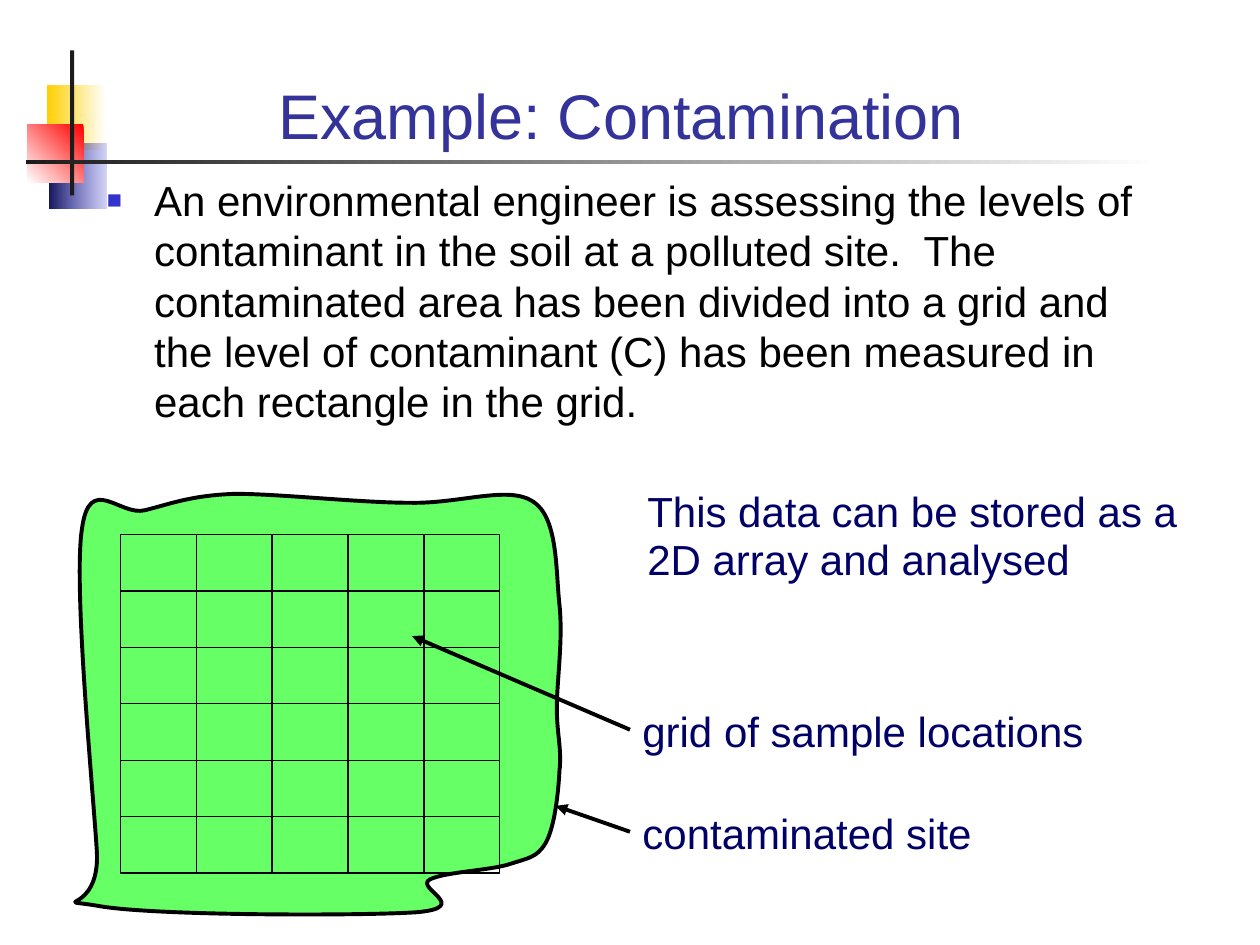
from typing import NamedTuple

from lxml import etree
from pptx import Presentation
from pptx.dml import color
from pptx.enum import shapes, text
from pptx.oxml import ns
from pptx import util as u

Pt = u.Pt


class Block(NamedTuple):
    x: float
    y: float
    w: float
    h: float
    colors: tuple
    angle: float = 180


class Caption(NamedTuple):
    words: str
    x: float
    y: float
    w: float
    h: float
    size: float = 24
    color: str = "000066"


class Callout(NamedTuple):
    caption: Caption
    tip: tuple


SQUARES = [
    Block(26.8, 48.4, 33.6, 37.6, ("FFFFFF", "FFCF01")),
    Block(28.1, 81.8, 32.8, 37.6, ("3333CC", "17175E")),
    Block(15.7, 71, 32, 33.4, ("FF0000", "FFFFFF"), 225),
]
BARS = [
    Block(40.1, 28.8, 2.3, 82.8, ("1C1C1C",)),
    Block(14.9, 91.4, 647.3, 2.2, ("FFFFFF", "1C1C1C")),
]
TITLE = Caption("Example: Contamination ", 54, 32.4, 612, 58, 36, "333399")
BODY = Caption(
    "An environmental engineer is assessing the levels of contaminant in the "
    "soil at a polluted site.  The contaminated area has been divided into a "
    "grid and the level of contaminant (C) has been measured in each "
    "rectangle in the grid.", 54, 96, 612, 173.5, color="000000")
STORAGE = Caption("This data can be stored as a 2D array and analysed",
                  335.75, 270, 362, 85)
CALLOUTS = [
    Callout(Caption("contaminated site", 360, 457.9, 248, 34.8), (317.5, 460.5)),
    Callout(Caption("grid of sample locations", 360, 399.6, 310, 34.8), (235.5, 363.5)),
]
SITE_START = (82.8, 291.6)
SITE_CURVES = [
    ((97.2, 288), (109.4, 283), (134.6, 282.2)),
    ((159.8, 282.2), (205.9, 287.3), (234, 287.3)),
    ((262.8, 288), (290.2, 277.2), (304.6, 286.6)),
    ((319, 295.9), (317.5, 326.2), (319.7, 345.6)),
    ((321.8, 365.8), (318.2, 388.8), (318.2, 404.6)),
    ((318.2, 419.8), (321.1, 427.7), (319.7, 440.6)),
    ((319, 453.6), (316.8, 473), (311.8, 481.7)),
    ((306.7, 490.3), (301.7, 490.3), (290.9, 493.9)),
    ((279.4, 497.5), (254.2, 498.2), (245.5, 502.6)),
    ((236.9, 507.6), (270, 518.4), (238.3, 521.3)),
    ((207.4, 523.4), (87.1, 523.4), (56.2, 517.7)),
    ((25.9, 512.6), (56.9, 523.4), (55.4, 487.4)),
    ((53.3, 452.2), (41.8, 335.5), (46.8, 302.4)),
    ((51.1, 270), (68.4, 295.2), SITE_START),
]
GRID_X, GRID_Y, CELL_W, CELL_H = 68.85, 305.45, 43.35, 32.25
GRID_ROWS, GRID_COLS = 6, 5


def rgb(value: str) -> color.RGBColor:
    return color.RGBColor.from_string(value)


def sub(parent, tag: str, **attrs: str):
    return etree.SubElement(parent, ns.qn(tag), attrs)


def add_rect(parent, x: float, y: float, w: float, h: float):
    sp = parent.shapes.add_shape(shapes.MSO_SHAPE.RECTANGLE, Pt(x), Pt(y), Pt(w), Pt(h))
    sp.shadow.inherit = False
    return sp


def add_block(parent, block: Block):
    sp = add_rect(parent, block.x, block.y, block.w, block.h)
    sp.line.fill.background()
    if len(block.colors) == 1:
        sp.fill.solid()
        sp.fill.fore_color.rgb = rgb(block.colors[0])
        return sp
    sp.fill.gradient()
    sp.fill.gradient_angle = block.angle
    for stop, value in zip(sp.fill.gradient_stops, block.colors):
        stop.color.rgb = rgb(value)
    return sp


def add_caption(slide, cap: Caption):
    sp = slide.shapes.add_textbox(Pt(cap.x), Pt(cap.y), Pt(cap.w), Pt(cap.h))
    tf = sp.text_frame
    tf.word_wrap = True
    tf.text = cap.words
    font = tf.paragraphs[0].runs[0].font
    font.name, font.size, font.color.rgb = "Arial", Pt(cap.size), rgb(cap.color)
    return sp


def indent(p, left: float, first: float):
    pPr = p._p.get_or_add_pPr()
    pPr.set("marL", str(Pt(left)))
    pPr.set("indent", str(Pt(first)))
    return pPr


def add_bullet(p, char: str, value: str, percent: int) -> None:
    pPr = indent(p, 27, -27)
    sub(sub(pPr, "a:buClr"), "a:srgbClr", val=value)
    sub(pPr, "a:buSzPct", val=str(percent * 1000))
    sub(pPr, "a:buFont", typeface="Arial")
    sub(pPr, "a:buChar", char=char)


def bend_lines(sp) -> None:
    lines = list(sp._element.iter(ns.qn("a:lnTo")))
    for i in range(0, len(lines), 3):
        curve = etree.Element(ns.qn("a:cubicBezTo"))
        lines[i].addprevious(curve)
        for line in lines[i:i + 3]:
            curve.append(line[0])
            line.getparent().remove(line)


def add_site(slide) -> None:
    x, y = SITE_START
    builder = slide.shapes.build_freeform(Pt(x), Pt(y))
    points = [(Pt(px), Pt(py)) for curve in SITE_CURVES for px, py in curve]
    builder.add_line_segments(points, close=True)
    sp = builder.convert_to_shape()
    bend_lines(sp)
    sp.shadow.inherit = False
    sp.fill.solid()
    sp.fill.fore_color.rgb = rgb("66FF66")
    sp.line.color.rgb, sp.line.width = rgb("000000"), Pt(2.25)


def add_grid(slide) -> None:
    group = slide.shapes.add_group_shape()
    for row in range(GRID_ROWS):
        for col in range(GRID_COLS):
            sp = add_rect(group, GRID_X + col * CELL_W, GRID_Y + row * CELL_H, CELL_W, CELL_H)
            sp.fill.background()
            sp.line.color.rgb, sp.line.width = rgb("000000"), Pt(0.75)


def add_callout(slide, callout: Callout) -> None:
    cap = callout.caption
    label = add_caption(slide, cap)
    x, y = callout.tip
    cx = slide.shapes.add_connector(
        shapes.MSO_CONNECTOR.STRAIGHT, Pt(cap.x), Pt(cap.y + cap.h / 2), Pt(x), Pt(y))
    cx.begin_connect(label, 1)
    cx.line.color.rgb, cx.line.width = rgb("000000"), Pt(2.25)
    sub(cx.line._get_or_add_ln(), "a:tailEnd", type="triangle")
    sub(cx._element.spPr, "a:effectLst")


def main() -> None:
    prs = Presentation()
    prs.slide_width, prs.slide_height = Pt(720), Pt(540)
    slide = prs.slides.add_slide(prs.slide_layouts[6])

    squares = [add_block(slide, block) for block in SQUARES]
    faded = squares[1]._element.spPr.find(".//" + ns.qn("a:srgbClr"))
    sub(faded, "a:alpha", val="20000")
    cross = slide.shapes.add_group_shape()
    for bar in BARS:
        add_block(cross, bar)
    add_site(slide)

    tf = add_caption(slide, TITLE).text_frame
    tf.vertical_anchor = text.MSO_ANCHOR.BOTTOM
    tf.paragraphs[0].alignment = text.PP_ALIGN.CENTER

    p = add_caption(slide, BODY).text_frame.paragraphs[0]
    add_bullet(p, "■", "3333CC", 60)
    p.line_spacing = Pt(28.8)

    tf = add_caption(slide, STORAGE).text_frame
    tf.margin_top = Pt(8.8)
    p = tf.paragraphs[0]
    indent(p, 27, 0)
    p.line_spacing = Pt(27.4)

    add_grid(slide)
    for callout in CALLOUTS:
        add_callout(slide, callout)
    prs.save("out.pptx")


if __name__ == "__main__":
    main()
